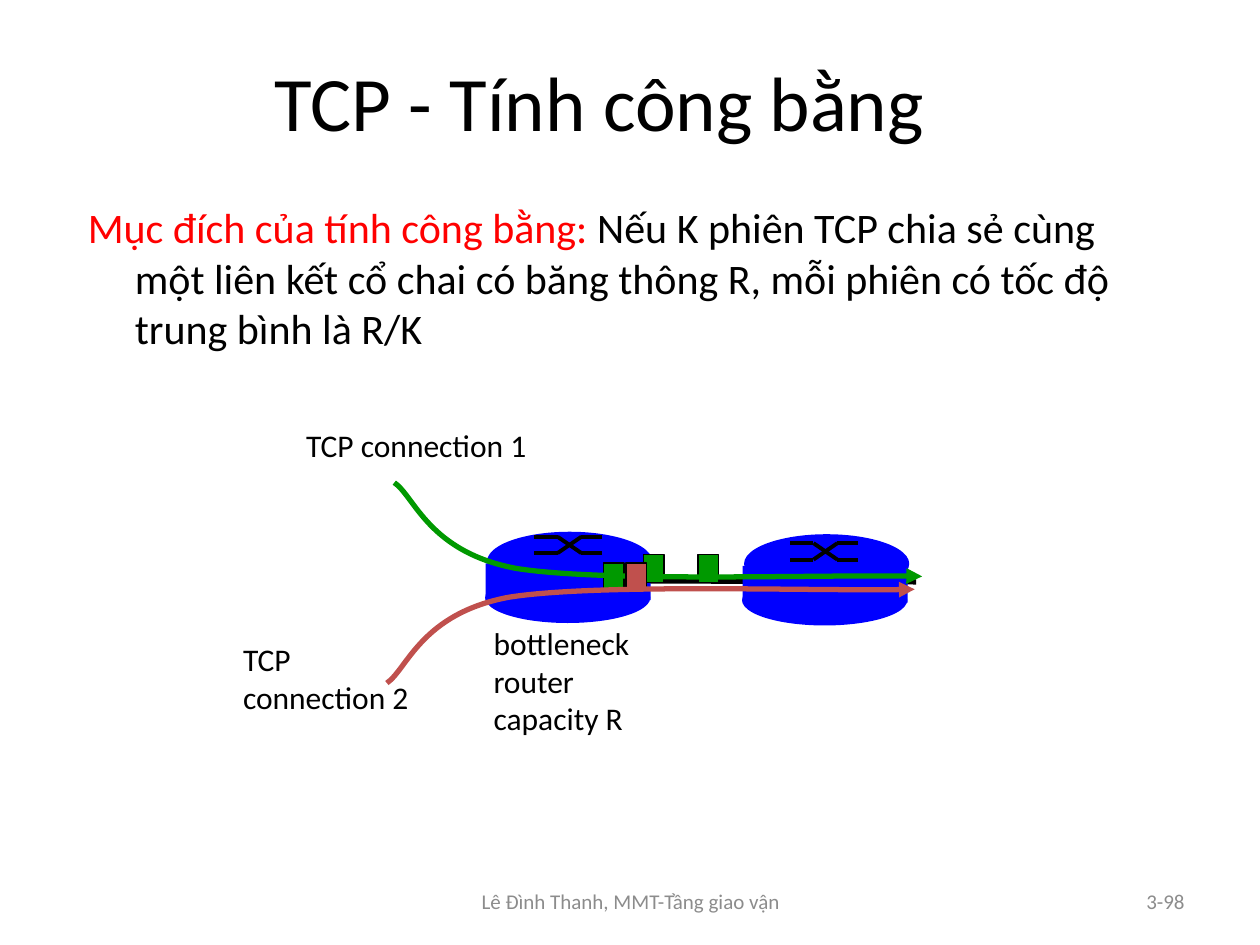
from lxml import etree
from pptx import Presentation
from pptx.dml.color import RGBColor
from pptx.enum.shapes import MSO_CONNECTOR, MSO_SHAPE
from pptx.enum.text import MSO_ANCHOR, PP_ALIGN
from pptx.oxml.ns import qn
from pptx.util import Cm, Pt

STRAIGHT = MSO_CONNECTOR.STRAIGHT
ELLIPSE, RECTANGLE = MSO_SHAPE.OVAL, MSO_SHAPE.RECTANGLE
LEFT, CENTER, RIGHT = PP_ALIGN.LEFT, PP_ALIGN.CENTER, PP_ALIGN.RIGHT
TOP, MIDDLE = MSO_ANCHOR.TOP, MSO_ANCHOR.MIDDLE

BLACK = RGBColor(0, 0, 0)
GRAY = RGBColor(0x8C, 0x8C, 0x8C)
RED = RGBColor(0xFF, 0, 0)
BLUE = RGBColor(0, 0, 0xFF)
GREEN = RGBColor(0, 0x99, 0)
BRICK = RGBColor(0xC0, 0x50, 0x4D)
FONT = "Calibri"

FLOW_POINTS = [(0.41, 0.28), (0.69, 1.4), (2.46, 1.73),
               (4.23, 2.01), (8.94, 1.84), (10.64, 1.89)]
SYMBOL_STOPS = (0, 0.47, 0.95, 1.37)
SYMBOL_HEIGHT = 0.33


def format_font(font, size, color):
    """Set typeface, size and colour of a font."""
    font.name = FONT
    font.size = Pt(size)
    font.color.rgb = color


def add_text(shapes, box, text, size, color=BLACK, align=LEFT, anchor=TOP):
    """Add a wrapped text box and return its text frame."""
    frame = shapes.add_textbox(*map(Cm, box)).text_frame
    frame.word_wrap = True
    frame.vertical_anchor = anchor
    frame.text = text
    for paragraph in frame.paragraphs:
        paragraph.alignment = align
        for run in paragraph.runs:
            format_font(run.font, size, color)
    return frame


def add_line(shapes, start, end, width):
    """Add a black straight line without shadow."""
    line = shapes.add_connector(STRAIGHT, *map(Cm, (*start, *end)))
    line.line.color.rgb = BLACK
    line.line.width = Pt(width)
    etree.SubElement(line._element.spPr, qn("a:effectLst"))


def add_filled(shapes, kind, box, color, outlined=False):
    """Add a filled preset shape, with a thin black outline if asked."""
    shape = shapes.add_shape(kind, *map(Cm, box))
    shape.shadow.inherit = False
    shape.fill.solid()
    shape.fill.fore_color.rgb = color
    if outlined:
        shape.line.color.rgb = BLACK
        shape.line.width = Pt(0.75)
    else:
        shape.line.fill.background()


def add_router(shapes, left, top):
    """Add a blue cylinder."""
    add_filled(shapes, ELLIPSE, (left, top + 0.82, 3.33, 1.02), BLUE)
    add_filled(shapes, RECTANGLE, (left + 0.01, top + 0.64, 3.33, 0.74), BLUE)
    add_filled(shapes, ELLIPSE, (left + 0.04, top, 3.33, 1.19), BLUE)


def add_switch_symbol(shapes, left, top):
    """Add the two crossing paths on top of a router."""
    stops = [left + stop for stop in SYMBOL_STOPS]
    levels = (top, top + SYMBOL_HEIGHT)
    for start, end in (levels, levels[::-1]):
        points = list(zip(stops, (start, start, end, end)))
        for first, second in zip(points, points[1:]):
            add_line(shapes, first, second, 2.25)


def add_flow(shapes, left, top, direction, color):
    """Add a curved arrow that runs down (1) or up (-1) into the link."""
    builder = shapes.build_freeform(Cm(left), Cm(top))
    builder.add_line_segments(
        [(Cm(left + x), Cm(top + direction * y)) for x, y in FLOW_POINTS], close=False)
    flow = builder.convert_to_shape()
    flow.shadow.inherit = False
    flow.fill.background()
    flow.line.color.rgb = color
    flow.line.width = Pt(3)
    outline = flow.line._get_or_add_ln()
    etree.SubElement(outline, qn("a:tailEnd"), type="triangle")
    segments = list(flow._element.iter(qn("a:lnTo")))
    route = segments[0].getparent()
    for index in range(0, len(segments), 3):
        curve = etree.SubElement(route, qn("a:cubicBezTo"))
        for segment in segments[index:index + 3]:
            curve.append(segment[0])
            route.remove(segment)


def add_diagram(slide, left, top):
    """Draw two connections sharing a bottleneck link."""
    shapes = slide.shapes.add_group_shape().shapes
    add_line(shapes, (left + 8.43, top + 3.25), (left + 13.82, top + 3.27), 3)
    add_router(shapes, left + 5.13, top + 2.26)
    add_line(shapes, (left + 10.34, top + 3.07), (left + 10.34, top + 3.71), 1)
    add_router(shapes, left + 10.31, top + 2.31)
    add_switch_symbol(shapes, left + 6.12, top + 2.36)
    add_switch_symbol(shapes, left + 11.28, top + 2.49)
    for x, y in ((9.42, 2.72), (7.52, 2.89), (8.33, 2.72)):
        add_filled(shapes, RECTANGLE, (left + x, top + y, 0.41, 0.56), GREEN, True)
    for x, y, width, height, text in (
            (1.27, 0, 5.46, 1.02, "TCP connection 1"),
            (5.05, 3.99, 3.68, 2.54, "bottleneck\nrouter\ncapacity R"),
            (0, 4.32, 4.22, 1.78, "TCP\nconnection 2")):
        add_text(shapes, (left + x, top + y, width, height), text, 18)
    add_flow(shapes, left + 3.3, top + 1.27, 1, GREEN)
    add_filled(shapes, RECTANGLE, (left + 7.97, top + 2.89, 0.41, 0.56), BRICK, True)
    add_flow(shapes, left + 3.15, top + 5.31, -1, BRICK)


def add_title(slide, box):
    """Place and format the title placeholder."""
    title = slide.shapes.title
    title.left, title.top, title.width, title.height = map(Cm, box)
    title.text_frame.text = "TCP - Tính công bằng "
    title.text_frame.vertical_anchor = MIDDLE
    paragraph = title.text_frame.paragraphs[0]
    paragraph.alignment = CENTER
    format_font(paragraph.runs[0].font, 44, BLACK)


def add_goal(slide, box):
    """Add the fairness goal with its red lead and hanging indent."""
    frame = add_text(slide.shapes, box, "Mục đích của tính công bằng:", 24, RED)
    paragraph = frame.paragraphs[0]
    properties = paragraph._p.get_or_add_pPr()
    properties.set("marL", str(Cm(0.95)))
    properties.set("indent", str(Cm(-0.95)))
    run = paragraph.add_run()
    run.text = (" Nếu K phiên TCP chia sẻ cùng một liên kết cổ chai có băng thông R, "
                "mỗi phiên có tốc độ trung bình là R/K")
    format_font(run.font, 24, BLACK)


def add_footer(slide, top):
    """Add the footer line and the slide number."""
    add_text(slide.shapes, (8.69, top, 8.05, 1.02),
             "Lê Đình Thanh, MMT-Tầng giao vận", 12, GRAY, CENTER, MIDDLE)
    add_text(slide.shapes, (18.21, top, 5.92, 1.02), "3-98", 12, GRAY, RIGHT, MIDDLE)


def main():
    """Build and save the presentation."""
    presentation = Presentation()
    presentation.slide_width, presentation.slide_height = Cm(25.4), Cm(19.05)
    slide = presentation.slides.add_slide(presentation.slide_layouts[5])
    add_title(slide, (1.47, 0.43, 21.59, 3.18))
    add_goal(slide, (1.52, 3.94, 21.16, 6.1))
    add_diagram(slide, 4.65, 8.46)
    add_footer(slide, 17.65)
    presentation.save("out.pptx")


if __name__ == "__main__":
    main()
